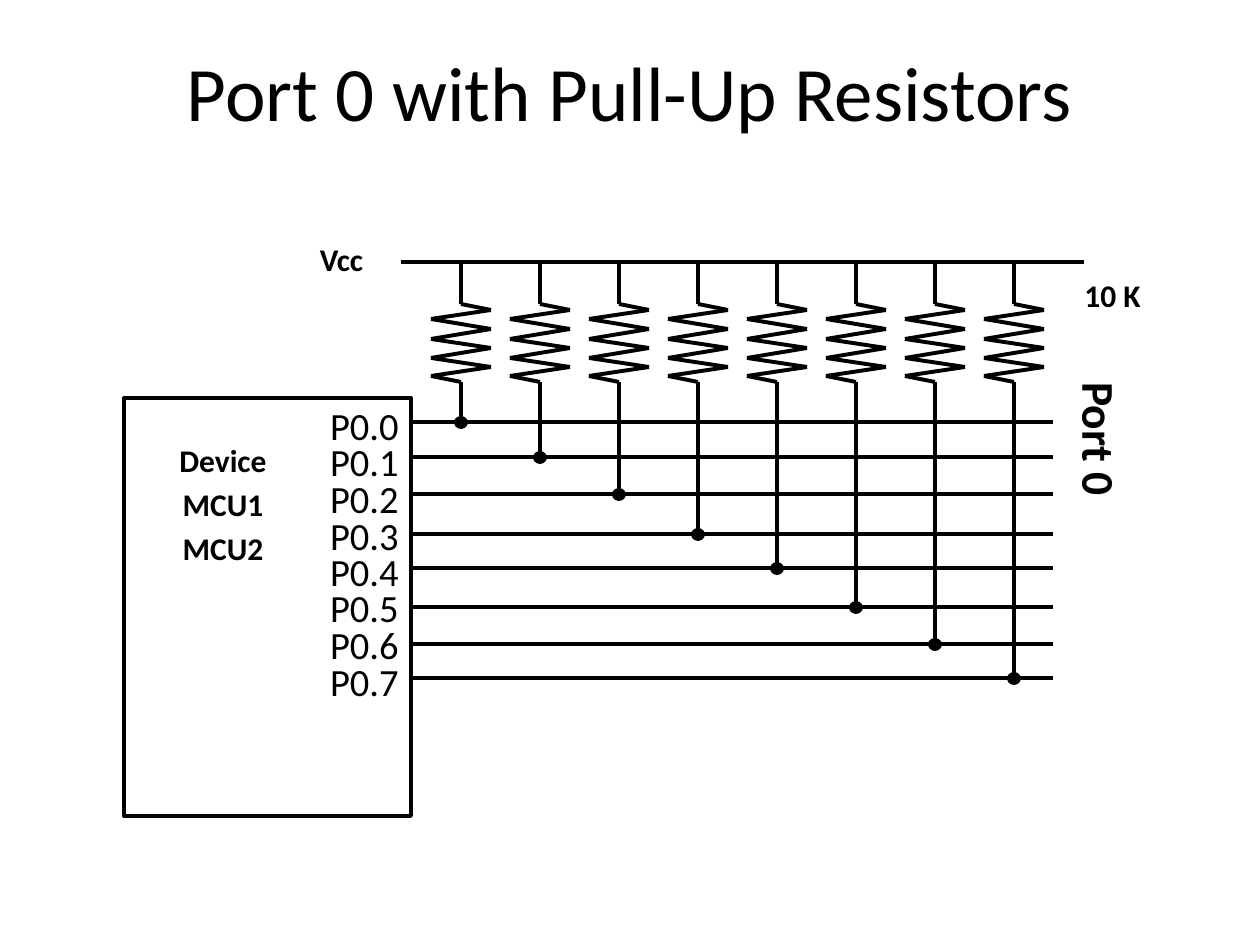
from lxml.etree import SubElement
from pptx import Presentation
from pptx.dml.color import RGBColor
from pptx.enum.shapes import MSO_CONNECTOR, MSO_SHAPE
from pptx.enum.text import MSO_ANCHOR, MSO_AUTO_SIZE, PP_ALIGN
from pptx.oxml.ns import qn
from pptx.util import Emu, Pt

SCALE = 914400 / 126
INK = "000000"
RAIL = 262
WIRES = [422, 457, 494, 534, 568, 607, 644, 678]
ZIGZAG = [310, 319, 329, 339, 348, 358, 367, 376]


def px(*nums):
    return [Emu(round(n * SCALE)) for n in nums]


def color(code):
    return RGBColor.from_string(code)


def stroke(line):
    line.color.rgb = color(INK)
    line.width = Pt(2.25)


def add_line(slide, start, end):
    line = slide.shapes.add_connector(MSO_CONNECTOR.STRAIGHT, *px(*start, *end))
    stroke(line.line)
    SubElement(line._element.spPr, qn("a:effectLst"))
    return line


def add_shape(slide, kind, area, fill=None):
    shape = slide.shapes.add_shape(kind, *px(*area))
    shape.shadow.inherit = False
    if fill:
        shape.fill.solid()
        shape.fill.fore_color.rgb = color(fill)
    else:
        shape.fill.background()
    stroke(shape.line)
    return shape


def style(frame, size, bold, align):
    frame.word_wrap = True
    frame.vertical_anchor = MSO_ANCHOR.TOP
    for row, para in enumerate(frame.paragraphs):
        para.alignment = align
        para.space_before = Pt(3.6 if row else 0)
        for run in para.runs:
            run.font.name = "Calibri"
            run.font.size = Pt(size)
            run.font.bold = bold
            run.font.color.rgb = color(INK)


def add_text(slide, text, area, size=18, bold=True, align=PP_ALIGN.CENTER):
    box = slide.shapes.add_textbox(*px(*area))
    box.text_frame.text = text
    style(box.text_frame, size, bold, align)
    box.text_frame.auto_size = MSO_AUTO_SIZE.SHAPE_TO_FIT_TEXT
    return box


def add_title(slide, text):
    title = slide.shapes.title
    title.left, title.top, title.width, title.height = px(63, 38, 1134, 158)
    title.text_frame.text = text
    style(title.text_frame, 44, False, PP_ALIGN.CENTER)


def add_pull(slide, mid, wire):
    points = [(mid, RAIL), (mid, 304)]
    points += [(mid + (-30 if i % 2 else 30), y) for i, y in enumerate(ZIGZAG)]
    points += [(mid, 382), (mid, wire)]
    for start, end in zip(points, points[1:]):
        add_line(slide, start, end)
    add_shape(slide, MSO_SHAPE.OVAL, (mid - 5, wire - 4, 10, 9), INK)


def main():
    deck = Presentation()
    deck.slide_width, deck.slide_height = px(1260, 945)
    slide = deck.slides.add_slide(deck.slide_layouts[5])
    add_title(slide, "Port 0 with Pull-Up Resistors")

    add_line(slide, (401, RAIL), (1084, RAIL))
    chip = add_shape(slide, MSO_SHAPE.RECTANGLE, (124, 398, 287, 418))
    for pin, wire in enumerate(WIRES):
        line = add_line(slide, (411, wire), (1053, wire))
        if wire == 607:
            line.begin_connect(chip, 3)
        add_pull(slide, 461 + 79 * pin, wire)
        area = (292, 396 + round(36.5 * pin), 119, 59)
        add_text(slide, f"P0.{pin}", area, 22, False, PP_ALIGN.RIGHT)

    add_text(slide, "Device\nMCU1\nMCU2", (134, 435, 178, 184))
    add_text(slide, "Vcc", (282, 234, 119, 63))
    add_text(slide, "10 K", (1034, 270, 119, 63), align=PP_ALIGN.RIGHT)
    port = add_text(slide, "Port 0", (1053, 370, 81, 300), 26)
    port._element.txBody.bodyPr.set("vert", "eaVert")
    deck.save("out.pptx")


if __name__ == "__main__":
    main()
